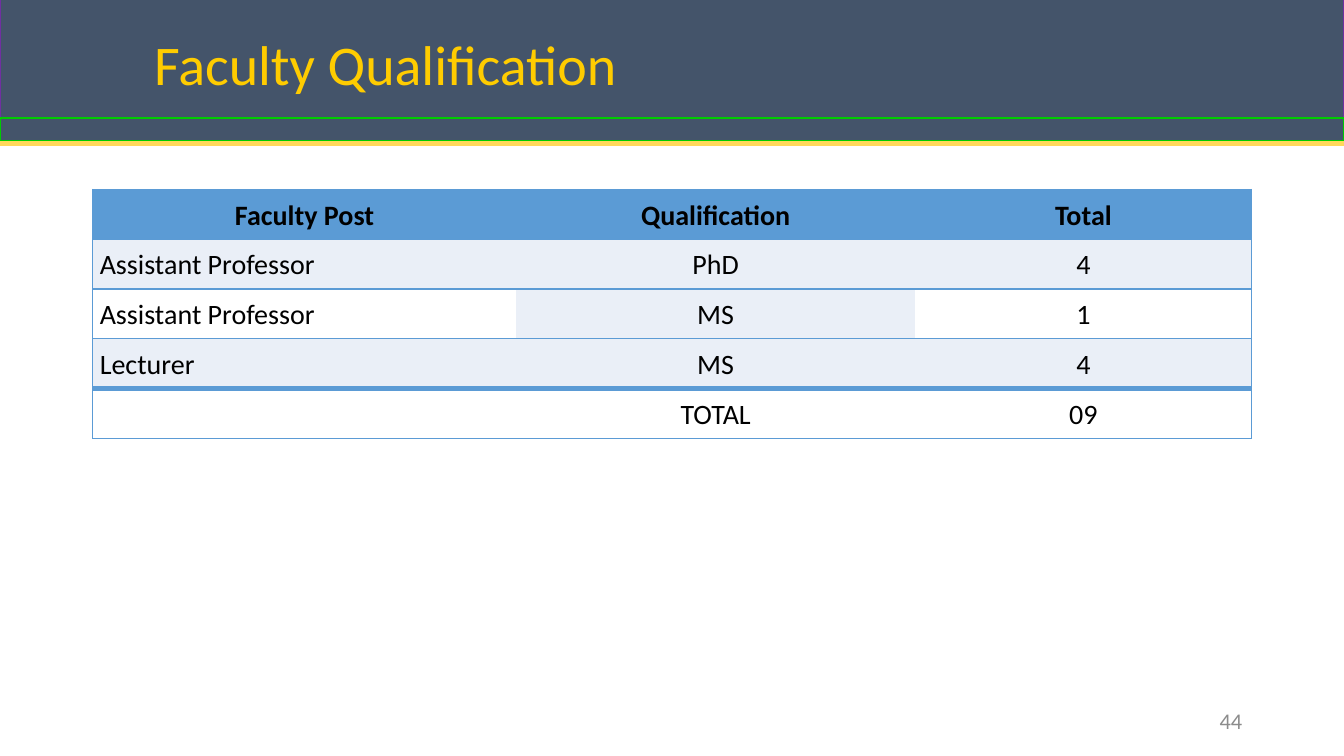
from dataclasses import dataclass

from lxml import etree
from pptx import Presentation
from pptx.dml.color import RGBColor
from pptx.enum.shapes import MSO_CONNECTOR, MSO_SHAPE
from pptx.enum.text import MSO_ANCHOR, PP_ALIGN
from pptx.oxml.ns import qn
from pptx.util import Inches, Pt

LEFT, CENTER, RIGHT = PP_ALIGN.LEFT, PP_ALIGN.CENTER, PP_ALIGN.RIGHT
JUSTIFY = PP_ALIGN.JUSTIFY
MIDDLE = MSO_ANCHOR.MIDDLE
RECTANGLE = MSO_SHAPE.RECTANGLE
STRAIGHT = MSO_CONNECTOR.STRAIGHT

SLIDE_WIDTH, SLIDE_HEIGHT = Inches(13.33), Inches(7.5)
FONT = "Calibri"
SLATE, BLUE, PALE, WHITE, BLACK = "44546A", "5B9BD5", "EAEFF7", "FFFFFF", "000000"


@dataclass
class Box:
    """A place given in percent of the slide's width and height."""
    left: float
    top: float
    width: float
    height: float

    def lengths(self) -> tuple[int, int, int, int]:
        return (across(self.left), down(self.top),
                across(self.width), down(self.height))


@dataclass
class Band:
    box: Box
    outline: str


@dataclass
class Label:
    box: Box
    text: str
    size: int
    color: str
    align: int
    line_spacing: float = 1.0


@dataclass
class FacultyRow:
    texts: tuple[str, str, str]
    fills: tuple[str, str, str]
    bold: bool = False
    first_align: int = JUSTIFY


BANDS = [
    Band(Box(0, -0.13, 100, 16), "7030A0"),
    Band(Box(0, 15.6, 100, 2.98), "00CC00"),
]
LABELS = [
    Label(Box(10.73, 1.87, 80.5, 14.13), "Faculty Qualification", 40, "FFCC00", LEFT, 0.9),
    Label(Box(70.67, 92.67, 22.5, 5.33), "44", 16, "8C8C8C", RIGHT),
]
TABLE_BOX = Box(6.9, 25.07, 86.25, 32.93)
COLUMN_SHARES = (0.37, 0.34, 0.29)
COLUMN_WEIGHTS = (4.2, 3.95, 3.34)
ROWS = [
    FacultyRow(("Faculty Post", "Qualification", "Total"), (BLUE,) * 3, True, CENTER),
    FacultyRow(("Assistant Professor", "PhD", "4"), (PALE,) * 3),
    FacultyRow(("Assistant Professor", "MS", "1"), (WHITE, PALE, WHITE)),
    FacultyRow(("Lecturer", "MS", "4"), (PALE,) * 3),
    FacultyRow(("", "TOTAL", "09"), (WHITE,) * 3),
]


def across(percent: float) -> int:
    return round(SLIDE_WIDTH * percent / 100)


def down(percent: float) -> int:
    return round(SLIDE_HEIGHT * percent / 100)


def rgb(color: str) -> RGBColor:
    return RGBColor.from_string(color)


def add_run(paragraph, text: str, size: int, color: str, bold: bool = False) -> None:
    run = paragraph.add_run()
    run.text = text
    run.font.name = FONT
    run.font.size = Pt(size)
    run.font.bold = bold
    run.font.color.rgb = rgb(color)


def draw_band(slide, band: Band) -> None:
    shape = slide.shapes.add_shape(RECTANGLE, *band.box.lengths())
    shape.shadow.inherit = False
    shape.fill.solid()
    shape.fill.fore_color.rgb = rgb(SLATE)
    shape.line.color.rgb = rgb(band.outline)
    shape.line.width = Pt(1)


def draw_rule(slide) -> None:
    height = down(18.93)
    rule = slide.shapes.add_connector(STRAIGHT, 0, height, SLIDE_WIDTH, height)
    rule.line.color.rgb = rgb("FFD85B")
    rule.line.width = Pt(3.75)
    etree.SubElement(rule._element.spPr, qn("a:effectLst"))


def draw_label(slide, label: Label) -> None:
    frame = slide.shapes.add_textbox(*label.box.lengths()).text_frame
    frame.word_wrap = True
    frame.vertical_anchor = MIDDLE
    paragraph = frame.paragraphs[0]
    paragraph.alignment = label.align
    paragraph.line_spacing = label.line_spacing
    add_run(paragraph, label.text, label.size, label.color)


def set_borders(cell, widths: dict[str, float]) -> None:
    """Draw the cell's sides in blue; a width of zero hides a side."""
    properties = cell._tc.get_or_add_tcPr()
    for index, (side, width) in enumerate(widths.items()):
        line = etree.Element(qn(f"a:ln{side}"), w=str(Pt(width)))
        if width:
            fill = etree.SubElement(line, qn("a:solidFill"))
            etree.SubElement(fill, qn("a:srgbClr"), val=BLUE)
        else:
            etree.SubElement(line, qn("a:noFill"))
        properties.insert(index, line)


def draw_table(slide) -> None:
    last_row, last_column = len(ROWS) - 1, len(COLUMN_WEIGHTS) - 1
    table = slide.shapes.add_table(
        len(ROWS), len(COLUMN_WEIGHTS), *TABLE_BOX.lengths()).table
    for column, weight in zip(table.columns, COLUMN_WEIGHTS):
        column.width = round(across(TABLE_BOX.width) * weight / sum(COLUMN_WEIGHTS))
    for row_index, row in enumerate(ROWS):
        for column_index, (text, fill) in enumerate(zip(row.texts, row.fills)):
            cell = table.cell(row_index, column_index)
            cell.fill.solid()
            cell.fill.fore_color.rgb = rgb(fill)
            cell.vertical_anchor = MIDDLE
            cell.margin_left = cell.margin_right = Inches(0.07)
            cell.margin_top = cell.margin_bottom = 0
            set_borders(cell, {
                "L": 1 if column_index == 0 else 0,
                "R": 1 if column_index == last_column else 0,
                "T": 4 if row_index == last_row else 1,
                "B": 4 if row_index == last_row - 1 else 1,
            })
            if text:
                paragraph = cell.text_frame.paragraphs[0]
                paragraph.alignment = row.first_align if column_index == 0 else CENTER
                paragraph.line_spacing = 1.07
                add_run(paragraph, text, 20, BLACK, row.bold)


def main() -> None:
    presentation = Presentation()
    presentation.slide_width, presentation.slide_height = SLIDE_WIDTH, SLIDE_HEIGHT
    slide = presentation.slides.add_slide(presentation.slide_layouts[6])
    draw_table(slide)
    draw_rule(slide)
    for band in BANDS:
        draw_band(slide, band)
    for label in LABELS:
        draw_label(slide, label)
    presentation.save("out.pptx")


if __name__ == "__main__":
    main()
